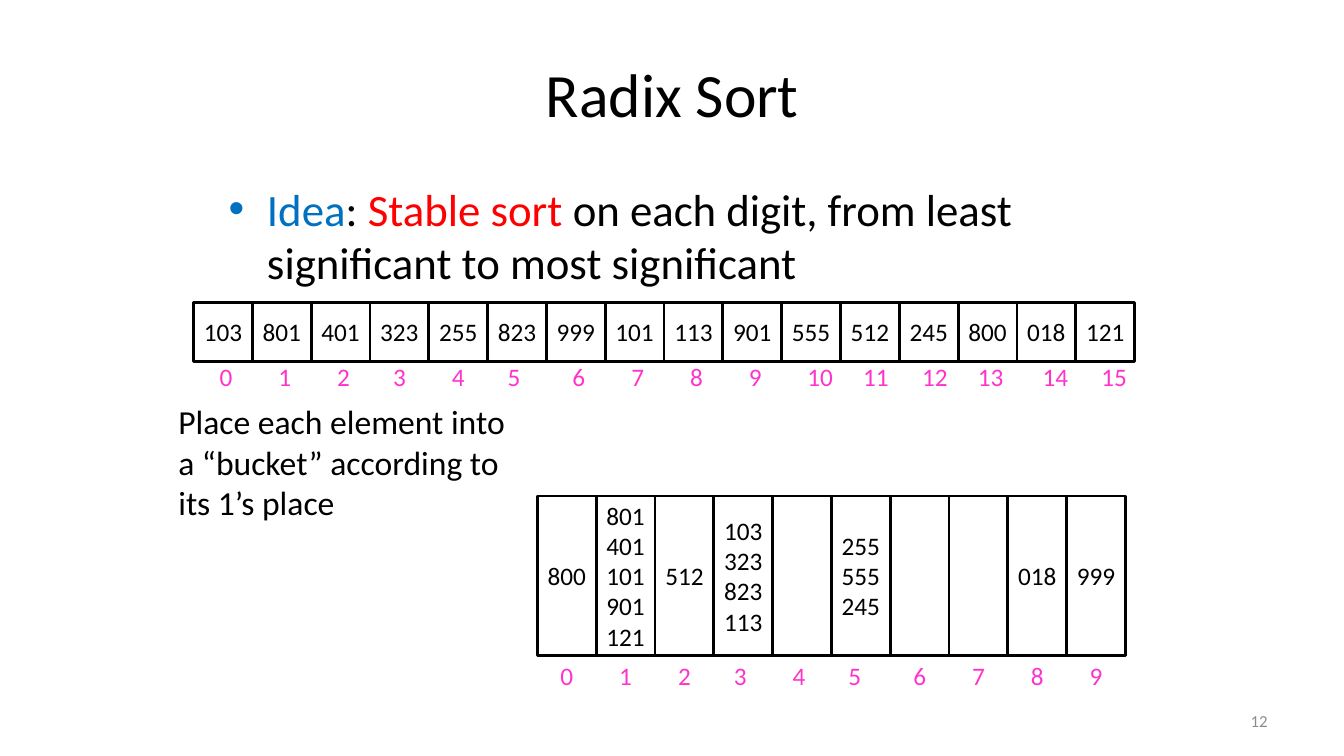
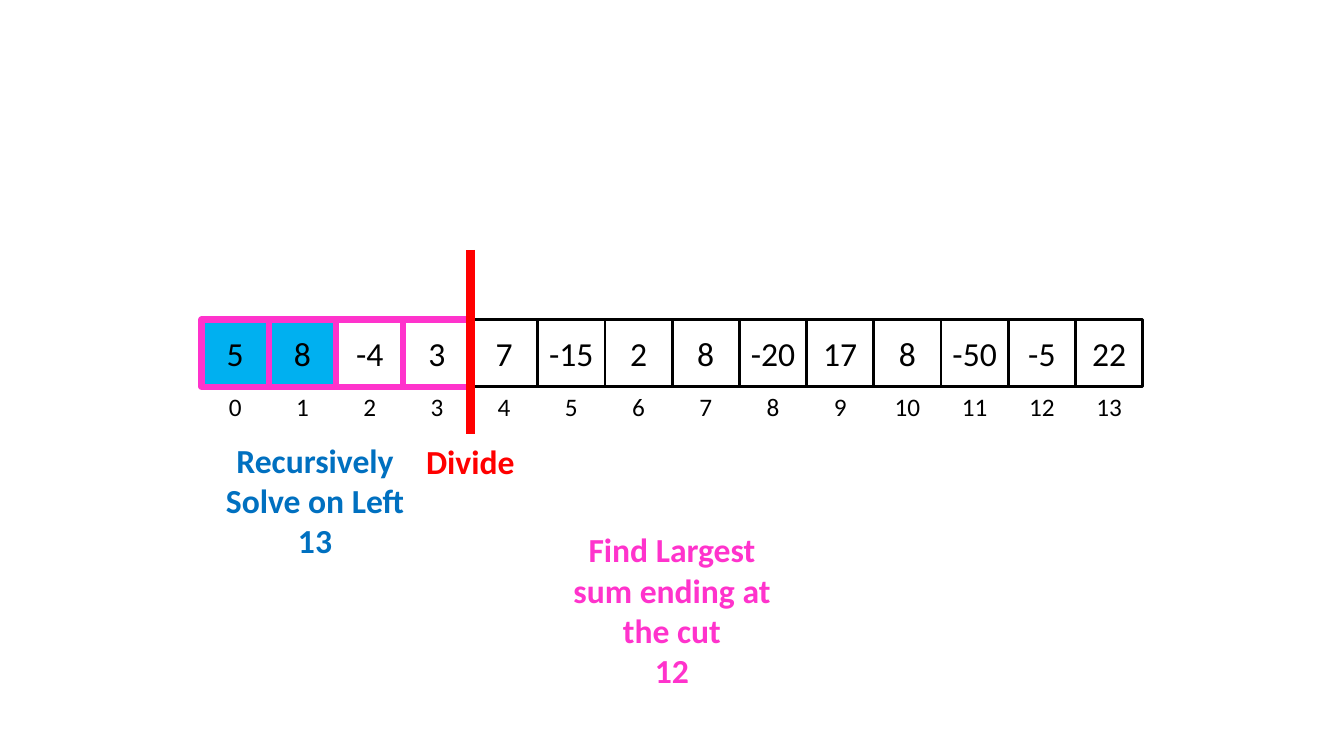
"""Build two algorithm slides: radix sort buckets and a divided array."""
from pptx import Presentation
from pptx.dml.color import RGBColor
from pptx.enum.shapes import MSO_CONNECTOR as Connector, MSO_SHAPE as Shape
from pptx.enum.text import MSO_ANCHOR as Anchor, PP_ALIGN as Align
from pptx.oxml.ns import qn
from pptx.util import Inches, Pt
from lxml.etree import SubElement

FONT = "Calibri"
BLACK, WHITE, RED, BLUE = "000000", "FFFFFF", "FF0000", "0070C0"
PINK, SKY, GREY = "FF33CC", "00B0F0", "8C8C8C"

IDEA = [
    ("Idea", BLUE),
    (": ", BLACK),
    ("Stable sort ", RED),
    ("on each digit, from least significant to most significant", BLACK),
]
NUMBERS = ["103", "801", "401", "323", "255", "823", "999", "101",
           "113", "901", "555", "512", "245", "800", "018", "121"]
BUCKETS = [["800"], ["801", "401", "101", "901", "121"], ["512"],
           ["103", "323", "823", "113"], [], ["255", "555", "245"],
           [], [], ["018"], ["999"]]
VALUES = ["5", "8", "-4", "3", "7", "-15", "2", "8", "-20", "17", "8", "-50", "-5", "22"]
SOLVED, CUT = 2, 4
NOTES = [
    (["Divide"], RED, (3.5, 4.33, 2.33, 0.5)),
    (["Recursively Solve on Left", "13"], BLUE, (1.96, 4.31, 2.33, 1.31)),
    (["Find Largest sum ending at the cut", "12"], PINK, (5.5, 5.2, 2.33, 1.72)),
]

RADIX_CELL = 7 / 12
SUM_CELL = 2 / 3
LABEL_NUDGES = [0, 0, 0, -0.03, -0.03, -0.06, 0, 0]


def rgb(value):
    return RGBColor.from_string(value)


def write(shape, paras, size=18, color=BLACK, bold=False, align=Align.LEFT,
          anchor=Anchor.TOP, inset=None, bullet=None):
    frame = shape.text_frame
    frame.word_wrap = True
    frame.vertical_anchor = anchor
    if inset is not None:
        frame.margin_left = frame.margin_right = Inches(inset)
        frame.margin_top = frame.margin_bottom = Inches(inset)
    for number, content in enumerate(paras):
        para = frame.add_paragraph() if number else frame.paragraphs[0]
        para.alignment = align
        if bullet:
            props = para._p.get_or_add_pPr()
            props.set("marL", str(Inches(0.38)))
            props.set("indent", str(Inches(-0.38)))
            SubElement(props, qn("a:buFont")).set("typeface", "Arial")
            SubElement(props, qn("a:buChar")).set("char", bullet)
        spans = [(content, color)] if isinstance(content, str) else content
        for text, span_color in spans:
            span = para.add_run()
            span.text = text
            span.font.name = FONT
            span.font.size = Pt(size)
            span.font.bold = bold
            span.font.color.rgb = rgb(span_color)


def add_text(page, paras, area, **style):
    box = page.shapes.add_textbox(*map(Inches, area))
    write(box, paras, **style)


def add_cell(page, paras, area, fill=WHITE, line=BLACK, weight=2, size=18):
    cell = page.shapes.add_shape(Shape.RECTANGLE, *map(Inches, area))
    cell.shadow.inherit = False
    cell.fill.solid()
    cell.fill.fore_color.rgb = rgb(fill)
    cell.line.color.rgb = rgb(line)
    cell.line.width = Pt(weight)
    write(cell, paras, size=size, align=Align.CENTER, anchor=Anchor.MIDDLE, inset=0)


def add_index(page, number, left, top, width, color):
    add_text(page, [str(number)], (left, top, width, 0.4), color=color,
             align=Align.CENTER, anchor=Anchor.MIDDLE, inset=0)


def add_radix_row(page, columns, left, top, height, label_top, shifts):
    for number, lines in enumerate(columns):
        cell_left = left + number * RADIX_CELL
        add_cell(page, lines, (cell_left, top, RADIX_CELL, height))
        nudge = shifts[number >= 10] + LABEL_NUDGES[number % 8]
        add_index(page, number, cell_left + nudge, label_top, RADIX_CELL, PINK)


def add_radix_slide(page):
    add_text(page, ["Radix Sort"], (0.67, 0.3, 12, 1.25), size=44,
             align=Align.CENTER, anchor=Anchor.MIDDLE)
    add_text(page, [IDEA], (2.17, 1.75, 9, 1.25), size=32, bullet="•")
    add_text(page, ["12"], (9.56, 6.95, 3.11, 0.4), size=12, color=GREY,
             align=Align.RIGHT, anchor=Anchor.MIDDLE)
    add_radix_row(page, [[number] for number in NUMBERS], 1.92, 3, RADIX_CELL,
                  3.53, (0.03, 0.09))
    add_text(page, ["Place each element into a “bucket” according to its 1’s place"],
             (1.67, 3.93, 3.48, 1.31), size=24)
    add_radix_row(page, BUCKETS, 5.33, 4.92, 1.58, 6.5, (0, 0))


def add_sum_slide(page):
    left, top = 2, 3.17
    for number, value in enumerate(VALUES):
        cell_left = left + number * SUM_CELL
        in_left_half = number < CUT
        add_cell(page, [value], (cell_left, top, SUM_CELL, SUM_CELL), size=24,
                 fill=SKY if number < SOLVED else WHITE,
                 line=PINK if in_left_half else BLACK,
                 weight=4.5 if in_left_half else 2)
        add_index(page, number, cell_left, 3.83, SUM_CELL, BLACK)
    cut_x = Inches(left + CUT * SUM_CELL)
    cut = page.shapes.add_connector(Connector.STRAIGHT, cut_x, Inches(2.48),
                                    cut_x, Inches(4.31))
    cut.line.color.rgb = rgb(RED)
    cut.line.width = Pt(6)
    SubElement(cut._element.spPr, qn("a:effectLst"))
    for paras, color, area in NOTES:
        add_text(page, paras, area, size=24, color=color, bold=True, align=Align.CENTER)


def main():
    deck = Presentation()
    deck.slide_width, deck.slide_height = Inches(13.33), Inches(7.5)
    for build in (add_radix_slide, add_sum_slide):
        build(deck.slides.add_slide(deck.slide_layouts[6]))
    deck.save("out.pptx")


if __name__ == "__main__":
    main()
